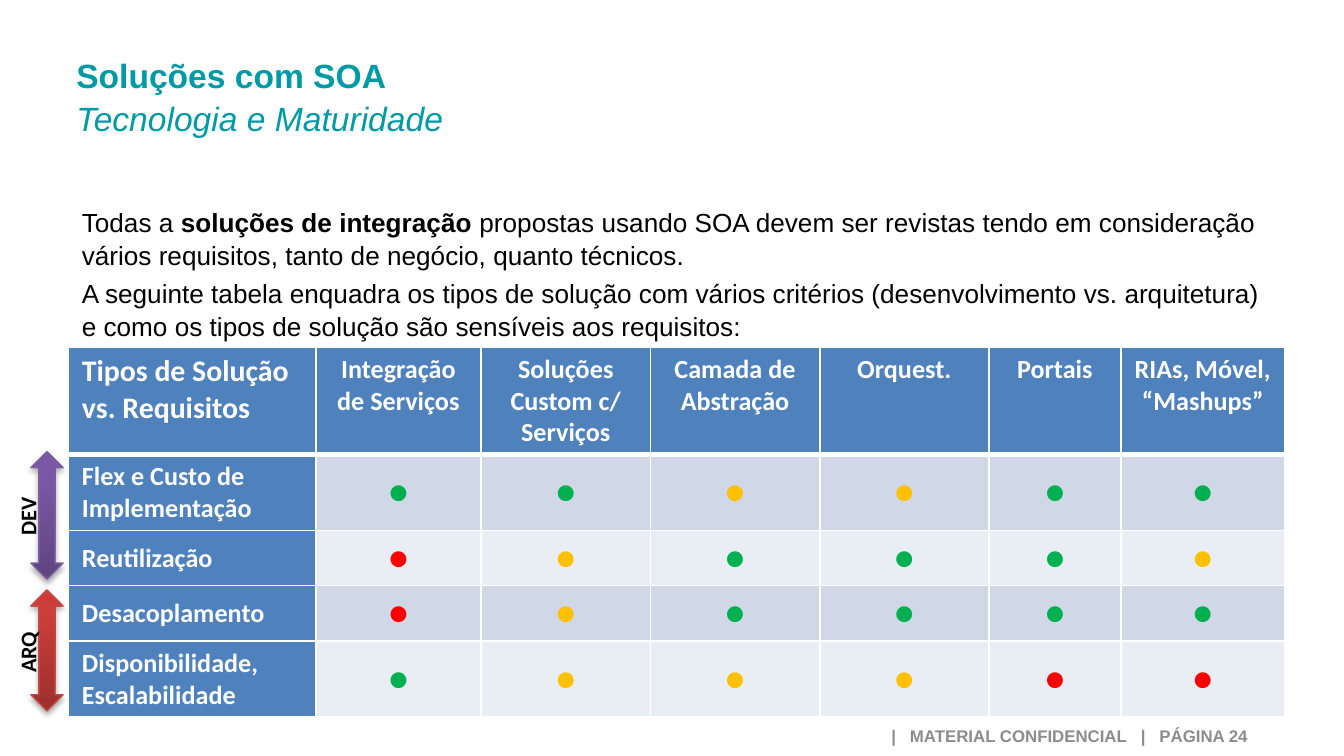
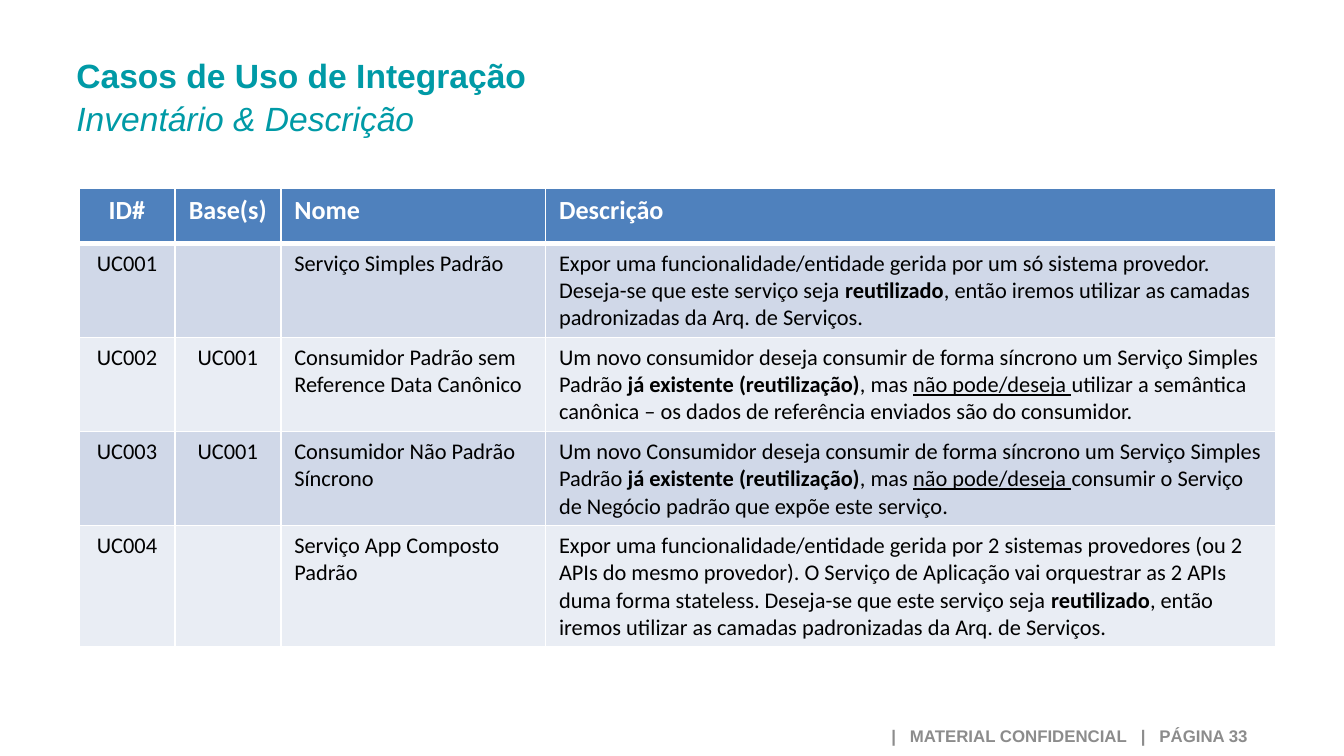
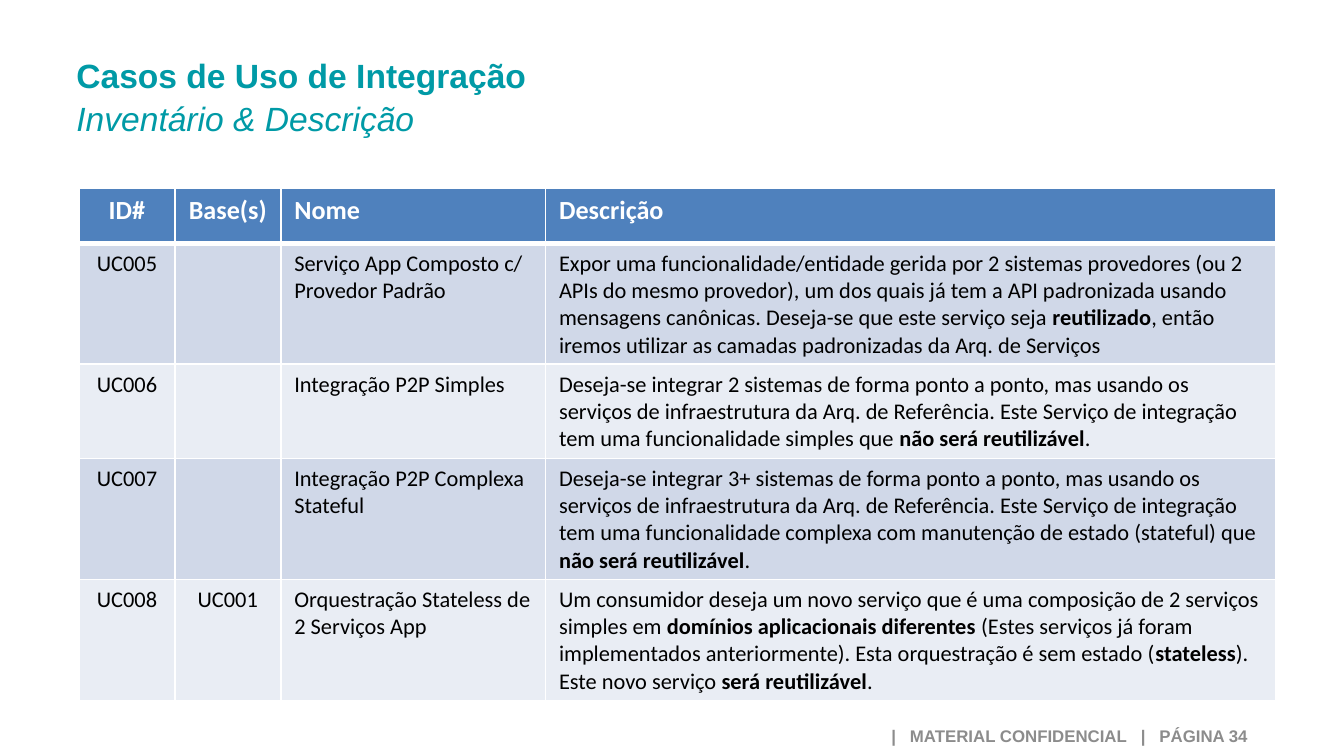
from lxml import etree
from pptx import Presentation
from pptx.dml.color import RGBColor
from pptx.enum.shapes import MSO_SHAPE as Shape
from pptx.enum.text import MSO_ANCHOR as Anchor, PP_ALIGN as Align
from pptx.oxml.ns import qn
from pptx.util import Inches, Pt

TEAL = RGBColor(0x00, 0x9A, 0xA6)
GREY = RGBColor(0x8C, 0x8C, 0x8C)
BLACK = RGBColor(0x00, 0x00, 0x00)
WHITE = RGBColor(0xFF, 0xFF, 0xFF)
HEADER_BLUE = RGBColor(0x4F, 0x81, 0xBD)
BANDS = (RGBColor(0xD0, 0xD8, 0xE8), RGBColor(0xE9, 0xED, 0xF4))
GREEN = RGBColor(0x00, 0xB0, 0x50)
YELLOW = RGBColor(0xFF, 0xC0, 0x00)
RED = RGBColor(0xFF, 0x00, 0x00)
RATINGS = {"G": GREEN, "Y": YELLOW, "R": RED}

PURPLE_LINE = RGBColor(0x7D, 0x60, 0xA0)
PURPLE_STOPS = ((0, RGBColor(0x5F, 0x44, 0x80)), (80, RGBColor(0x7B, 0x58, 0xA6)),
                (100, RGBColor(0x7C, 0x57, 0xA8)))
RED_LINE = RGBColor(0xBF, 0x4C, 0x48)
RED_STOPS = ((0, RGBColor(0x9C, 0x2F, 0x2D)), (80, RGBColor(0xCB, 0x3E, 0x3A)),
             (100, RGBColor(0xCE, 0x3B, 0x37)))

HEADING_FONT = "Arial"
TABLE_FONT = "Calibri"
HEADING_LINE_SPACING = 1.06

INTRO = (
    "Todas a *soluções de integração *propostas usando SOA devem ser revistas tendo em "
    "consideração vários requisitos, tanto de negócio, quanto técnicos.",
    "A seguinte tabela enquadra os tipos de solução com vários critérios (desenvolvimento vs. "
    "arquitetura) e como os tipos de solução são sensíveis aos requisitos:",
)
SOLUTION_TYPES = ("Tipos de Solução vs. Requisitos", "Integração de Serviços",
                  "Soluções Custom c/ Serviços", "Camada de Abstração", "Orquest.",
                  "Portais", "RIAs, Móvel, “Mashups”")
REQUIREMENTS = (
    ("Flex e Custo de Implementação", "GGYYGG"),
    ("Reutilização", "RYGGGY"),
    ("Desacoplamento", "RYGGGG"),
    ("Disponibilidade, Escalabilidade", "GYYYRR"),
)

USE_CASE_HEADERS = ("ID#", "Base(s)", "Nome", "Descrição")
# Each use case: id, base, name, description, lines the description takes.
# In descriptions, *...* is bold and _..._ is underlined.
BASIC_USE_CASES = (
    ("UC001", "", "Serviço Simples Padrão",
     "Expor uma funcionalidade/entidade gerida por um só sistema provedor. Deseja-se que este "
     "serviço seja *reutilizado*, então iremos utilizar as camadas padronizadas da Arq. de "
     "Serviços.", 3),
    ("UC002", "UC001", "Consumidor Padrão sem Reference Data Canônico",
     "Um novo consumidor deseja consumir de forma síncrono um Serviço Simples Padrão *já "
     "existente (reutilização)*, mas _não pode/deseja _utilizar a semântica canônica – os dados "
     "de referência enviados são do consumidor.", 3),
    ("UC003", "UC001", "Consumidor Não Padrão Síncrono",
     "Um novo Consumidor deseja consumir de forma síncrono um Serviço Simples Padrão *já "
     "existente (reutilização)*, mas _não pode/deseja _consumir o Serviço de Negócio padrão que "
     "expõe este serviço.", 3),
    ("UC004", "", "Serviço App Composto Padrão",
     "Expor uma funcionalidade/entidade gerida por 2 sistemas provedores (ou 2 APIs do mesmo "
     "provedor). O Serviço de Aplicação vai orquestrar as 2 APIs duma forma stateless. Deseja-se "
     "que este serviço seja *reutilizado*, então iremos utilizar as camadas padronizadas da Arq. "
     "de Serviços.", 4),
)
COMPOSED_USE_CASES = (
    ("UC005", "", "Serviço App Composto c/ Provedor Padrão",
     "Expor uma funcionalidade/entidade gerida por 2 sistemas provedores (ou 2 APIs do mesmo "
     "provedor), um dos quais já tem a API padronizada usando mensagens canônicas. Deseja-se que "
     "este serviço seja *reutilizado*, então iremos utilizar as camadas padronizadas da Arq. de "
     "Serviços", 4),
    ("UC006", "", "Integração P2P Simples",
     "Deseja-se integrar 2 sistemas de forma ponto a ponto, mas usando os serviços de "
     "infraestrutura da Arq. de Referência. Este Serviço de integração tem uma funcionalidade "
     "simples que *não será reutilizável*.", 3),
    ("UC007", "", "Integração P2P Complexa Stateful",
     "Deseja-se integrar 3+ sistemas de forma ponto a ponto, mas usando os serviços de "
     "infraestrutura da Arq. de Referência. Este Serviço de integração tem uma funcionalidade "
     "complexa com manutenção de estado (stateful) que *não será reutilizável*.", 4),
    ("UC008", "UC001", "Orquestração Stateless de 2 Serviços App",
     "Um consumidor deseja um novo serviço que é uma composição de 2 serviços simples em "
     "*domínios aplicacionais diferentes *(Estes serviços já foram implementados anteriormente). "
     "Esta orquestração é sem estado (*stateless*). Este novo serviço *será reutilizável*.", 4),
)


def add_run(paragraph, text, font_name, size, color, bold=False):
    run = paragraph.add_run()
    run.text = text
    run.font.name = font_name
    run.font.size = Pt(size)
    run.font.color.rgb = color
    run.font.bold = bold
    return run


def add_marked_text(paragraph, text, font_name, size, color, bold=False):
    """Write text in which *...* is bold and _..._ is underlined."""
    for bold_index, part in enumerate(text.split("*")):
        for underline_index, piece in enumerate(part.split("_")):
            if piece:
                run = add_run(paragraph, piece, font_name, size, color,
                              bold or bold_index % 2 == 1)
                if underline_index % 2:
                    run.font.underline = True


def add_text_box(slide, left, top, width, height, wrap=True):
    box = slide.shapes.add_textbox(Inches(left), Inches(top), Inches(width), Inches(height))
    box.text_frame.word_wrap = wrap
    return box


def add_title(slide, title, subtitle):
    paragraph = add_text_box(slide, 0.47, 0.34, 7.4, 0.71).text_frame.paragraphs[0]
    paragraph.line_spacing = HEADING_LINE_SPACING
    add_run(paragraph, title, HEADING_FONT, 18, TEAL, bold=True)
    paragraph.add_line_break()
    add_run(paragraph, subtitle, HEADING_FONT, 18, TEAL).font.italic = True


def add_footer(slide, page):
    text_frame = add_text_box(slide, 5.16, 5.33, 4.22, 0.29).text_frame
    text_frame.vertical_anchor = Anchor.MIDDLE
    paragraph = text_frame.paragraphs[0]
    paragraph.alignment = Align.RIGHT
    for index, part in enumerate(("|", "MATERIAL CONFIDENCIAL", "|", f"PÁGINA {page}")):
        if index:
            gap = add_run(paragraph, " ", HEADING_FONT, 9, GREY, bold=True)
            gap.font._element.set("spc", "500")
        add_run(paragraph, part, HEADING_FONT, 9, GREY, bold=True)


def add_page(presentation, title, subtitle, page):
    slide = presentation.slides.add_slide(presentation.slide_layouts[6])
    add_title(slide, title, subtitle)
    add_footer(slide, page)
    return slide


def set_borders(cell, top_width, bottom_width):
    properties = cell._tc.get_or_add_tcPr()
    for side, width in (("L", 1), ("R", 1), ("T", top_width), ("B", bottom_width)):
        line = etree.SubElement(properties, qn(f"a:ln{side}"), w=str(Pt(width)))
        fill = etree.SubElement(line, qn("a:solidFill"))
        etree.SubElement(fill, qn("a:srgbClr"), val=str(WHITE))


def add_grid(slide, left, top, column_widths, row_heights):
    """Add a table with a blue header row, banded rows and white borders."""
    table = slide.shapes.add_table(
        len(row_heights), len(column_widths), Inches(left), Inches(top),
        Inches(sum(column_widths)), Inches(sum(row_heights))).table
    for column, width in zip(table.columns, column_widths):
        column.width = Inches(width)
    for index, (row, height) in enumerate(zip(table.rows, row_heights)):
        row.height = Inches(height)
        for cell in row.cells:
            set_borders(cell, 3 if index == 1 else 1, 3 if index == 0 else 1)
            cell.fill.solid()
            cell.fill.fore_color.rgb = BANDS[(index - 1) % 2] if index else HEADER_BLUE
    return table


def write_cell(cell, text, size, color, bold=False, centered=False, anchor=Anchor.TOP):
    cell.vertical_anchor = anchor
    paragraph = cell.text_frame.paragraphs[0]
    paragraph.alignment = Align.CENTER if centered else Align.LEFT
    add_marked_text(paragraph, text, TABLE_FONT, size, color, bold)


def add_intro(slide):
    text_frame = add_text_box(slide, 0.51, 1.47, 8.98, 1.09).text_frame
    for index, text in enumerate(INTRO):
        paragraph = text_frame.add_paragraph() if index else text_frame.paragraphs[0]
        paragraph.line_spacing = HEADING_LINE_SPACING
        if index:
            paragraph.space_before = Pt(2.5)
        add_marked_text(paragraph, text, HEADING_FONT, 14, BLACK)


def add_maturity_table(slide, left, top):
    table = add_grid(slide, left, top, (1.84, 1.23, 1.26, 1.26, 1.26, 0.98, 1.22),
                     (0.8, 0.56, 0.41, 0.41, 0.56))
    for column, name in enumerate(SOLUTION_TYPES):
        write_cell(table.cell(0, column), name, 14 if column else 16, WHITE,
                   bold=True, centered=column > 0)
    for row, (requirement, ratings) in enumerate(REQUIREMENTS, start=1):
        label = table.cell(row, 0)
        write_cell(label, requirement, 14, WHITE, bold=True, anchor=Anchor.MIDDLE)
        label.fill.fore_color.rgb = HEADER_BLUE
        for column, rating in enumerate(ratings, start=1):
            write_cell(table.cell(row, column), "●", 18, RATINGS[rating],
                       bold=True, centered=True, anchor=Anchor.MIDDLE)


def set_gradient(shape, stops):
    """Fill the shape from bottom to top with (percent, colour) stops."""
    shape.fill.gradient()
    shape.fill.gradient_angle = 90
    stop_list = shape._element.spPr.find(qn("a:gradFill")).find(qn("a:gsLst"))
    for old_stop in list(stop_list):
        stop_list.remove(old_stop)
    for percent, color in stops:
        stop = etree.SubElement(stop_list, qn("a:gs"), pos=str(percent * 1000))
        etree.SubElement(stop, qn("a:srgbClr"), val=str(color))


def add_soft_shadow(shape):
    shape.shadow.inherit = False
    effects = shape._element.spPr.find(qn("a:effectLst"))
    shadow = etree.SubElement(effects, qn("a:outerShdw"), blurRad=str(Pt(3.1)),
                              dist=str(Pt(1.8)), dir="5400000", rotWithShape="0")
    color = etree.SubElement(shadow, qn("a:srgbClr"), val=str(BLACK))
    etree.SubElement(color, qn("a:alpha"), val="35000")


def add_span_arrow(slide, top, height, stops, line_color):
    arrow = slide.shapes.add_shape(Shape.UP_DOWN_ARROW, Inches(0.23), Inches(top),
                                   Inches(0.24), Inches(height))
    set_gradient(arrow, stops)
    arrow.line.color.rgb = line_color
    arrow.line.width = Pt(0.75)
    add_soft_shadow(arrow)


def add_span_label(slide, text, left, top, width):
    box = add_text_box(slide, left, top, width, 0.3, wrap=False)
    box.rotation = 270
    add_run(box.text_frame.paragraphs[0], text, TABLE_FONT, 12, BLACK, bold=True)


def add_maturity_slide(presentation):
    slide = add_page(presentation, "Soluções com SOA", "Tecnologia e Maturidade", 24)
    add_intro(slide)
    add_maturity_table(slide, 0.51, 2.58)
    add_span_arrow(slide, 3.36, 0.95, PURPLE_STOPS, PURPLE_LINE)
    add_span_arrow(slide, 4.39, 0.9, RED_STOPS, RED_LINE)
    add_span_label(slide, "DEV", -0.04, 3.69, 0.49)
    add_span_label(slide, "ARQ", -0.05, 4.7, 0.51)


def add_use_case_slide(presentation, page, use_cases):
    slide = add_page(presentation, "Casos de Uso de Integração", "Inventário & Descrição", page)
    row_heights = [0.41] + [0.1 + 0.2 * lines for *_, lines in use_cases]
    table = add_grid(slide, 0.59, 1.4, (0.71, 0.79, 1.97, 5.43), row_heights)
    for column, name in enumerate(USE_CASE_HEADERS):
        write_cell(table.cell(0, column), name, 14, WHITE, bold=True, centered=column < 2)
    for row, (*texts, _) in enumerate(use_cases, start=1):
        for column, text in enumerate(texts):
            write_cell(table.cell(row, column), text, 12, BLACK, centered=column < 2)


def main():
    presentation = Presentation()
    presentation.slide_width = Inches(10)
    presentation.slide_height = Inches(10) * 9 // 16
    add_maturity_slide(presentation)
    add_use_case_slide(presentation, 33, BASIC_USE_CASES)
    add_use_case_slide(presentation, 34, COMPOSED_USE_CASES)
    presentation.save("out.pptx")


if __name__ == "__main__":
    main()
